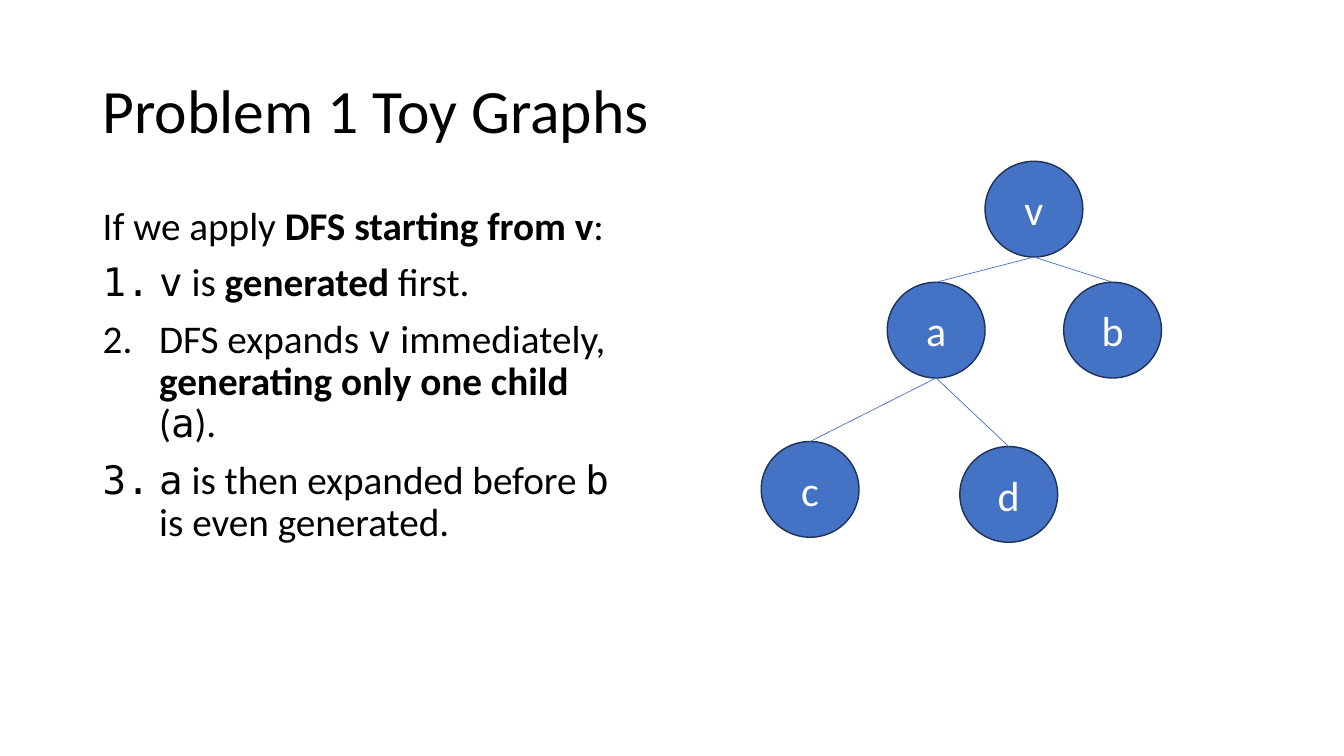
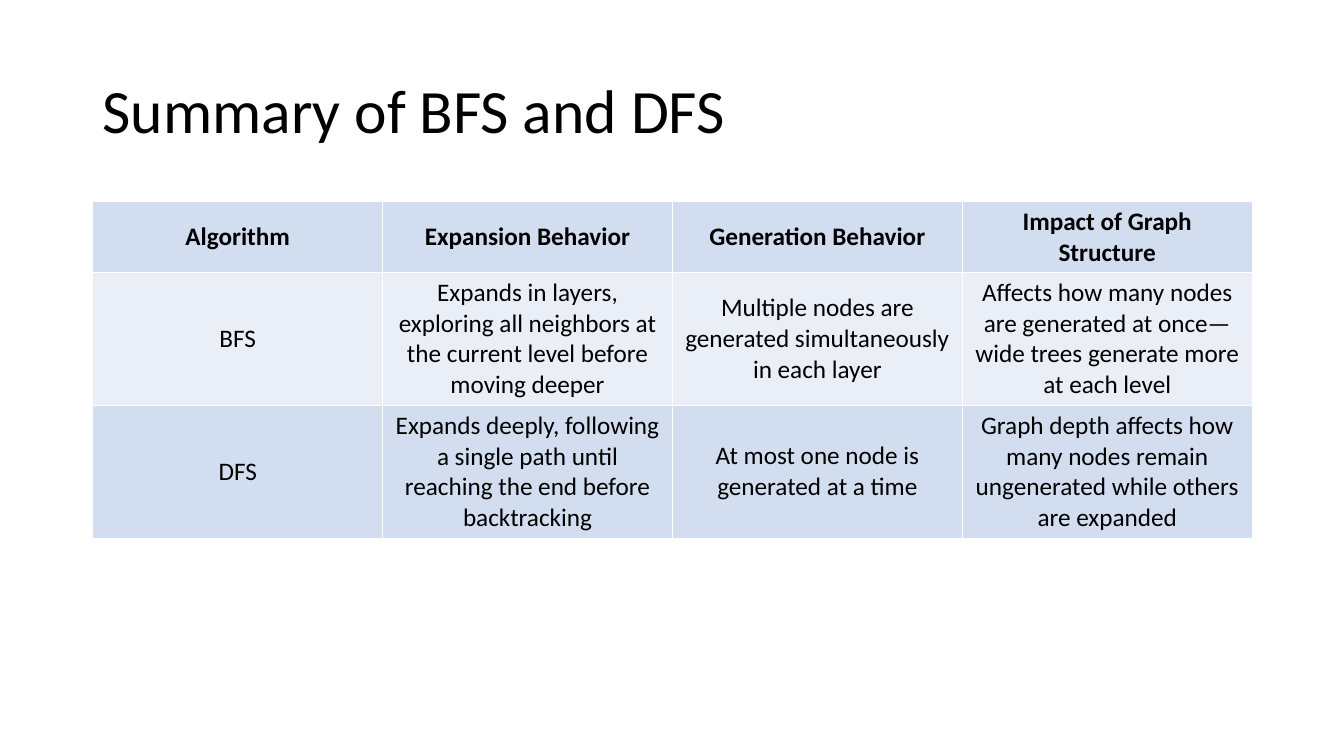
import lxml.etree
import pptx
import pptx.dml.color
import pptx.enum.shapes
import pptx.enum.text
import pptx.oxml.ns
import pptx.util

Inches = pptx.util.Inches
Pt = pptx.util.Pt
qn = pptx.oxml.ns.qn
Align = pptx.enum.text.PP_ALIGN
Anchor = pptx.enum.text.MSO_ANCHOR


def color(value):
    return pptx.dml.color.RGBColor.from_string(value)


def set_values(target, values):
    for name, value in values.items():
        setattr(target, name, value)


class Deck:
    SANS, MONO = "Calibri", "DejaVu Sans Mono"
    BLACK, WHITE = "000000", "FFFFFF"
    BLUE, NAVY = "4472C4", "1E3256"
    BANDS = ("D2DEEF", "EAEFF7")
    LEFT, WIDTH, CONTENT_TOP = 0.92, 11.5, 2
    NODE_WIDTH, NODE_HEIGHT = 0.97, 0.95
    BODY = {"line_spacing": 0.9, "space_before": Pt(10)}

    def __init__(self):
        self.presentation = pptx.Presentation()
        set_values(self.presentation,
                   {"slide_width": Inches(13.33), "slide_height": Inches(7.5)})
        self.slide = None

    def new_slide(self, title):
        self.slide = self.presentation.slides.add_slide(self.presentation.slide_layouts[6])
        frame = self.text_box(self.LEFT, 0.4, self.WIDTH, 1.45, Anchor.MIDDLE)
        self.add_text(frame.paragraphs[0], [title], 44, {"line_spacing": 0.9})

    def text_box(self, left, top, width, height, anchor=Anchor.TOP):
        shape = self.slide.shapes.add_textbox(
            Inches(left), Inches(top), Inches(width), Inches(height))
        set_values(shape.text_frame, {"word_wrap": True, "vertical_anchor": anchor})
        return shape.text_frame

    def add_text(self, paragraph, runs, size, layout, ink=BLACK):
        """A run is plain text, or a pair of text and font values."""
        set_values(paragraph, layout)
        for item in runs:
            text, style = (item, {}) if isinstance(item, str) else item
            run = paragraph.add_run()
            run.text = text
            set_values(run.font, {"name": self.SANS, "size": Pt(size), "bold": False, **style})
            run.font.color.rgb = color(ink)

    def numbered_text(self, intro, steps):
        frame = self.text_box(self.LEFT, self.CONTENT_TOP, 5.45, 4.76)
        self.add_text(frame.paragraphs[0], intro, 28, self.BODY)
        for runs in steps:
            paragraph = frame.add_paragraph()
            self.add_text(paragraph, runs, 28, self.BODY)
            properties = paragraph._p.get_or_add_pPr()
            indent = Inches(0.56)
            properties.set("marL", str(indent))
            properties.set("indent", str(-indent))
            lxml.etree.SubElement(properties, qn("a:buAutoNum"), type="arabicPeriod")

    def node(self, label, left, top):
        shape = self.slide.shapes.add_shape(
            pptx.enum.shapes.MSO_SHAPE.OVAL, Inches(left), Inches(top),
            Inches(self.NODE_WIDTH), Inches(self.NODE_HEIGHT))
        shape.shadow.inherit = False
        shape.fill.solid()
        shape.fill.fore_color.rgb = color(self.BLUE)
        shape.line.color.rgb = color(self.NAVY)
        shape.line.width = Pt(1)
        shape.text_frame.vertical_anchor = Anchor.MIDDLE
        self.add_text(shape.text_frame.paragraphs[0], [label], 30,
                      {"alignment": Align.CENTER}, self.WHITE)
        return shape

    def edge(self, parent, child):
        """Line from the bottom of the parent to the top of the child."""
        connector = self.slide.shapes.add_connector(
            pptx.enum.shapes.MSO_CONNECTOR.STRAIGHT,
            parent.left + parent.width // 2, parent.top + parent.height,
            child.left + child.width // 2, child.top)
        connector.end_connect(child, 0)
        connector.line.color.rgb = color(self.BLUE)
        connector.line.width = Pt(0.5)
        lxml.etree.SubElement(connector._element.spPr, qn("a:effectLst"))

    def table(self, rows, heights):
        table = self.slide.shapes.add_table(
            len(rows), len(rows[0]), Inches(self.LEFT), Inches(self.CONTENT_TOP),
            Inches(self.WIDTH), Inches(sum(heights))).table
        set_values(table, {"first_row": False, "horz_banding": False})
        for index, (texts, height) in enumerate(zip(rows, heights)):
            table.rows[index].height = Inches(height)
            for column, text in enumerate(texts):
                cell = table.cell(index, column)
                self.borders(cell)
                cell.fill.solid()
                cell.fill.fore_color.rgb = color(self.BANDS[index % 2])
                cell.vertical_anchor = Anchor.MIDDLE
                self.add_text(cell.text_frame.paragraphs[0], [(text, {"bold": index == 0})],
                              18, {"alignment": Align.CENTER})

    def borders(self, cell):
        properties = cell._tc.get_or_add_tcPr()
        for side in ("lnL", "lnR", "lnT", "lnB"):
            line = lxml.etree.SubElement(properties, qn(f"a:{side}"), w=str(Pt(1)))
            fill = lxml.etree.SubElement(line, qn("a:solidFill"))
            lxml.etree.SubElement(fill, qn("a:srgbClr"), val=self.WHITE)


def main():
    deck = Deck()
    bold, mono = {"bold": True}, {"name": deck.MONO}

    # Slide 1: depth-first search on a small tree
    deck.new_slide("Problem 1 Toy Graphs")
    deck.numbered_text(
        ["If we apply ", ("DFS starting from v", bold), ":"],
        [
            [("v", mono), " is ", ("generated", bold), " first."],
            ["DFS expands ", ("v", mono), " immediately, ",
             ("generating only one child", bold), " (", ("a", mono), ")."],
            [("a", mono), " is then expanded before ", ("b", mono), " is even generated."],
        ])
    places = {"v": (9.77, 1.6), "a": (8.8, 2.8), "b": (10.55, 2.8),
              "c": (7.55, 4.38), "d": (9.52, 4.43)}
    nodes = {label: deck.node(label, *place) for label, place in places.items()}
    for parent, child in ("va", "vb", "ac", "ad"):
        deck.edge(nodes[parent], nodes[child])

    # Slide 2: comparison table
    deck.new_slide("Summary of BFS and DFS")
    deck.table([
        ["Algorithm", "Expansion Behavior", "Generation Behavior", "Impact of Graph Structure"],
        ["BFS",
         "Expands in layers, exploring all neighbors at the current level before moving deeper",
         "Multiple nodes are generated simultaneously in each layer",
         "Affects how many nodes are generated at once—wide trees generate more at each level"],
        ["DFS",
         "Expands deeply, following a single path until reaching the end before backtracking",
         "At most one node is generated at a time",
         "Graph depth affects how many nodes remain ungenerated while others are expanded"],
    ], heights=[0.7, 1.32, 1.32])

    deck.presentation.save("out.pptx")


if __name__ == "__main__":
    main()
